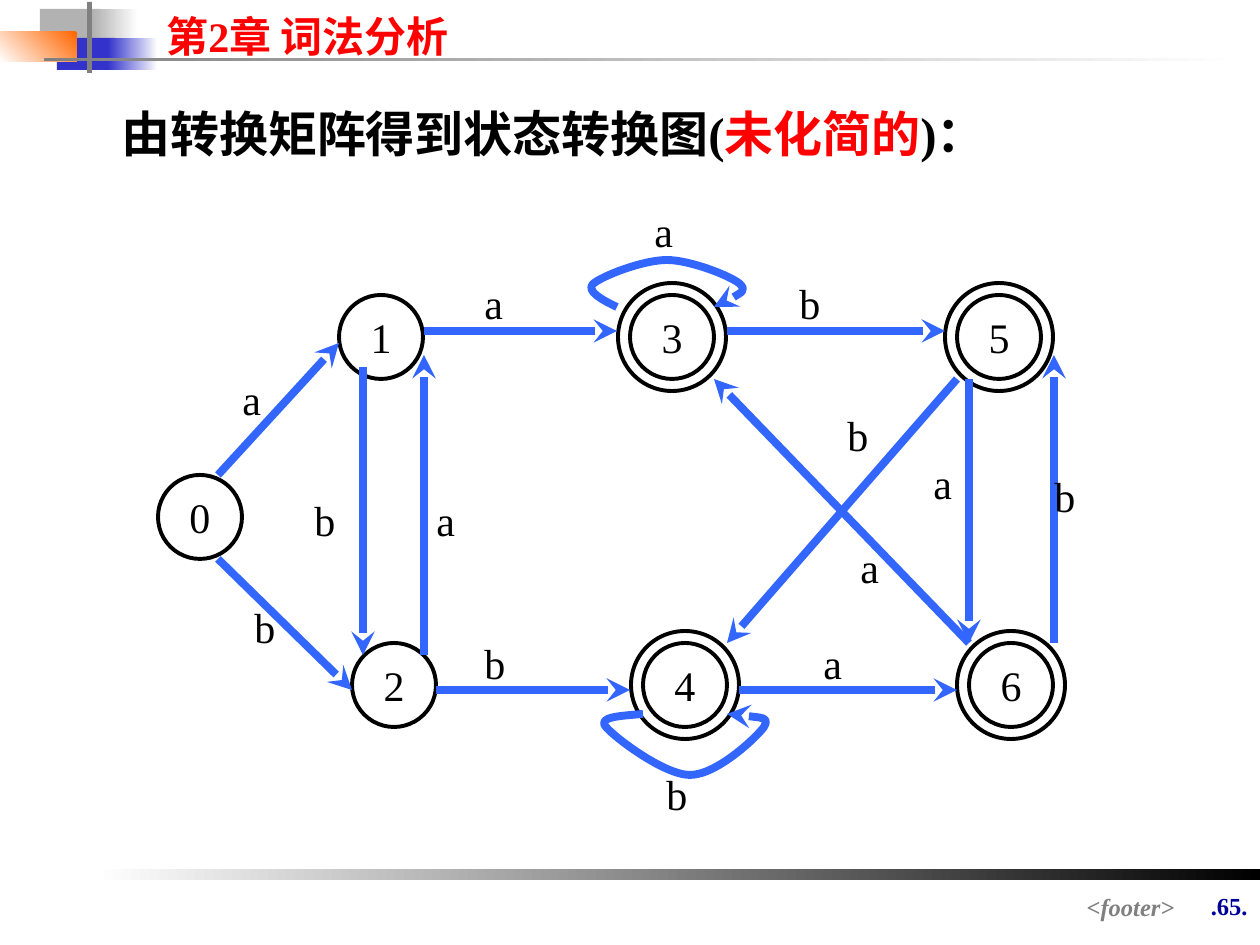
from typing import NamedTuple

from lxml import etree
from pptx import Presentation, util as u
from pptx.dml import color
from pptx.enum import shapes, text
from pptx.oxml import ns

PX = 914400 / 126
FONT = "Times New Roman"
BLACK, WHITE, RED, GRAY, BLUE = "000000", "FFFFFF", "FF0000", "808080", "3366FF"
CIRCLE, RING_GAP = 84, 12
Point = tuple[int, int]


class Band(NamedTuple):
    """A decorative rectangle, fading from start to end when end is given."""
    x: int
    y: int
    width: int
    height: int
    start: str
    end: str = ""
    angle: int = 0


class State(NamedTuple):
    """An automaton state, placed by the corner of its inner circle."""
    name: str
    x: int
    y: int
    final: bool = False


class Edge(NamedTuple):
    """A straight transition arrow."""
    start: Point
    end: Point


class Label(NamedTuple):
    """The input symbol beside a transition."""
    symbol: str
    x: int
    y: int


BANDS = [
    Band(40, 9, 60, 33, "B2B2B2"),
    Band(93, 9, 45, 33, "B2B2B2", WHITE),
    Band(57, 38, 58, 32, "3333CC"),
    Band(108, 38, 50, 32, "3333CC", WHITE),
    Band(0, 32, 77, 30, "FF6600", WHITE, 225),
    Band(87, 2, 5, 71, GRAY),
    Band(44, 58, 1198, 3, GRAY, WHITE),
    Band(95, 869, 1165, 11, WHITE, BLACK),
]
STATES = [
    State("0", 158, 475), State("1", 339, 295), State("2", 352, 643),
    State("3", 630, 295, True), State("4", 643, 643, True),
    State("5", 957, 295, True), State("6", 969, 643, True),
]
EDGES = [
    Edge((218, 475), (339, 343)), Edge((218, 559), (352, 690)),
    Edge((424, 655), (424, 355)), Edge((363, 367), (363, 655)),
    Edge((436, 690), (630, 690)), Edge((424, 331), (617, 331)),
    Edge((727, 331), (945, 331)), Edge((739, 690), (957, 690)),
    Edge((957, 379), (727, 643)), Edge((969, 643), (714, 379)),
    Edge((1054, 643), (1054, 355)), Edge((969, 379), (969, 643)),
]
LOOPS = [
    [(643, 714), (620, 716), (597, 717), (606, 727), (614, 737), (664, 775), (690, 775),
     (717, 775), (757, 737), (764, 727), (770, 717), (748, 716), (727, 714)],
    [(617, 307), (602, 300), (586, 291), (593, 284), (602, 276), (643, 260), (667, 260),
     (690, 260), (731, 276), (740, 284), (747, 291), (731, 300), (714, 307)],
]
LABELS = [
    Label("b", 1042, 464), Label("a", 230, 367), Label("a", 472, 271), Label("a", 642, 199),
    Label("a", 921, 451), Label("a", 848, 535), Label("a", 811, 631), Label("b", 472, 631),
    Label("b", 302, 488), Label("a", 424, 488), Label("b", 654, 762), Label("b", 835, 403),
    Label("b", 787, 271), Label("b", 242, 595),
]


def emu(*lengths: int) -> list[u.Emu]:
    """Turn px into EMU."""
    return [u.Emu(round(length * PX)) for length in lengths]


def rgb(value: str) -> color.RGBColor:
    """Return the colour of a hex string."""
    return color.RGBColor.from_string(value)


def write(frame, *parts: tuple[str, str], size: int = 24, bold: bool = False,
          italic: bool = False, align=text.PP_ALIGN.LEFT, indent: int = 0) -> None:
    """Write coloured runs as the one paragraph of a text frame."""
    paragraph = frame.paragraphs[0]
    paragraph.alignment = align
    if indent:
        properties = paragraph._p.get_or_add_pPr()
        properties.set("marL", str(emu(indent)[0]))
        properties.set("indent", "0")
    for words, colour in parts:
        run = paragraph.add_run()
        run.text = words
        run.font.name, run.font.size = FONT, u.Pt(size)
        run.font.bold, run.font.italic = bold, italic
        run.font.color.rgb = rgb(colour)


def add_text(slide, box: tuple[int, int, int, int], *parts: tuple[str, str], **style) -> None:
    """Add a wrapping text box."""
    frame = slide.shapes.add_textbox(*emu(*box)).text_frame
    frame.word_wrap = True
    write(frame, *parts, **style)


def add_band(slide, band: Band) -> None:
    """Draw a plain or fading rectangle without outline."""
    shape = slide.shapes.add_shape(shapes.MSO_SHAPE.RECTANGLE, *emu(*band[:4]))
    shape.shadow.inherit = False
    shape.line.fill.background()
    if not band.end:
        shape.fill.solid()
        shape.fill.fore_color.rgb = rgb(band.start)
        return
    shape.fill.gradient()
    shape.fill.gradient_angle = band.angle
    for stop, colour in zip(shape.fill.gradient_stops, (band.start, band.end)):
        stop.color.rgb = rgb(colour)


def add_circle(slide, x: int, y: int, size: int):
    """Draw an unfilled black circle and return it."""
    shape = slide.shapes.add_shape(shapes.MSO_SHAPE.OVAL, *emu(x, y, size, size))
    shape.shadow.inherit = False
    shape.fill.background()
    shape.line.color.rgb, shape.line.width = rgb(BLACK), u.Pt(2.25)
    return shape


def add_state(slide, state: State) -> None:
    """Draw a numbered state, with a second ring when it is final."""
    frame = add_circle(slide, state.x, state.y, CIRCLE).text_frame
    frame.word_wrap = False
    frame.vertical_anchor = text.MSO_ANCHOR.MIDDLE
    write(frame, (state.name, BLACK), align=text.PP_ALIGN.CENTER)
    if state.final:
        add_circle(slide, state.x - RING_GAP, state.y - RING_GAP, CIRCLE + 2 * RING_GAP)


def style_arrow(shape) -> None:
    """Give a line the transition colour, width and arrowhead."""
    shape.line.color.rgb, shape.line.width = rgb(BLUE), u.Pt(4.5)
    etree.SubElement(shape.line._get_or_add_ln(), ns.qn("a:tailEnd"), type="stealth")


def add_edge(slide, edge: Edge) -> None:
    """Draw a straight transition."""
    connector = slide.shapes.add_connector(
        shapes.MSO_CONNECTOR.STRAIGHT, *emu(*edge.start, *edge.end))
    style_arrow(connector)
    etree.SubElement(connector._element.spPr, ns.qn("a:effectLst"))


def add_loop(slide, points: list[Point]) -> None:
    """Draw a self-transition, each three points after the first making a Bezier curve."""
    builder = slide.shapes.build_freeform(*points[0], scale=PX)
    builder.add_line_segments(points[1:], close=False)
    shape = builder.convert_to_shape()
    segments = list(shape._element.iter(ns.qn("a:lnTo")))
    for first in range(0, len(segments), 3):
        curve = etree.Element(ns.qn("a:cubicBezTo"))
        segments[first].addprevious(curve)
        for segment in segments[first:first + 3]:
            curve.append(segment[0])
            segment.getparent().remove(segment)
    shape.fill.background()
    style_arrow(shape)
    shape.shadow.inherit = False


def main() -> None:
    """Build the state diagram slide."""
    presentation = Presentation()
    presentation.slide_width, presentation.slide_height = emu(1260, 945)
    slide = presentation.slides.add_slide(presentation.slide_layouts[6])
    for band in BANDS:
        add_band(slide, band)
    right = text.PP_ALIGN.RIGHT
    add_text(slide, (154, 4, 397, 63), ("第2章 词法分析", RED), bold=True)
    add_text(slide, (1176, 885, 84, 72), (".65.", "000099"), size=14, bold=True, align=right)
    add_text(slide, (333, 886, 854, 33), ("<footer>", GRAY),
             size=14, bold=True, italic=True, align=right)
    add_text(slide, (32, 97, 1187, 72), ("由转换矩阵得到状态转换图(", BLACK),
             ("未化简的", RED), (")：", BLACK), size=28, bold=True, indent=77)
    for state in STATES:
        add_state(slide, state)
    for edge in EDGES:
        add_edge(slide, edge)
    for loop in LOOPS:
        add_loop(slide, loop)
    for label in LABELS:
        width = 48 if label.symbol == "a" else 60
        add_text(slide, (label.x, label.y, width, 63), (label.symbol, BLACK))
    presentation.save("out.pptx")


if __name__ == "__main__":
    main()
